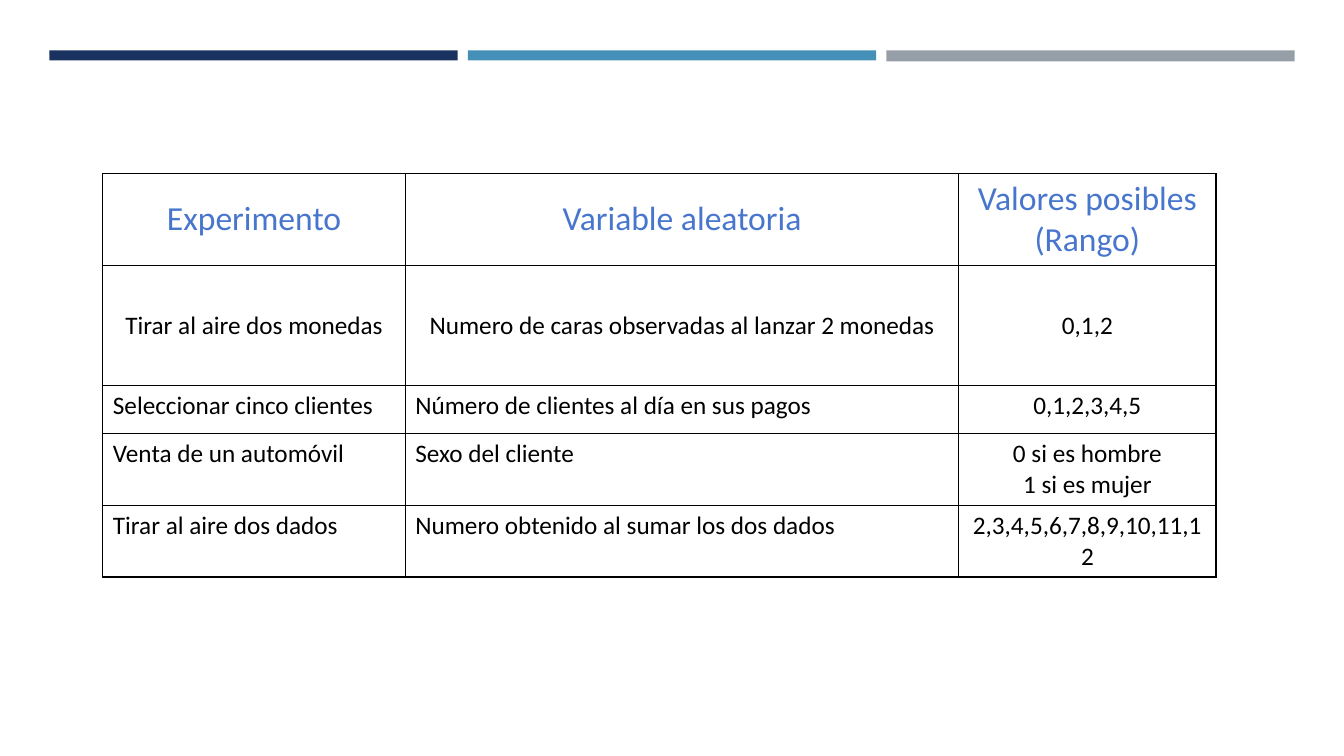
import pptx
import pptx.dml.color
import pptx.enum.shapes
import pptx.enum.text
import pptx.oxml
import pptx.oxml.ns
import pptx.util

Inches, Pt = pptx.util.Inches, pptx.util.Pt
RGBColor = pptx.dml.color.RGBColor
PP_ALIGN = pptx.enum.text.PP_ALIGN
MSO_ANCHOR = pptx.enum.text.MSO_ANCHOR

# Content
HEADER = ("Experimento", "Variable aleatoria", "Valores posibles (Rango)")
ROWS = [
    ("Tirar al aire dos monedas", "Numero de caras observadas al lanzar 2 monedas", "0,1,2"),
    ("Seleccionar cinco clientes", "Número de clientes al día en sus pagos", "0,1,2,3,4,5"),
    ("Venta de un automóvil", "Sexo del cliente", "0 si es hombre\n1 si es mujer"),
    ("Tirar al aire dos dados", "Numero obtenido al sumar los dos dados", "2,3,4,5,6,7,8,9,10,11,12"),
]

# Colours and formats
NAVY = RGBColor(0x1A, 0x32, 0x60)
BLUE = RGBColor(0x45, 0x90, 0xB8)
GRAY = RGBColor(0x96, 0x9F, 0xA7)
HEADING = RGBColor(0x48, 0x76, 0xCD)
BLACK = RGBColor(0, 0, 0)
HEADER_FONT = {"name": "Calibri", "size": Pt(24), "bold": False}
BODY_FONT = {"name": "Calibri", "size": Pt(18), "bold": False}

# Layout
BAR_LEFT, BAR_TOP, BAR_WIDTH, BAR_STEP = 0.49, 0.5, 4.05, 4.15
BARS = [(NAVY, 0.1), (BLUE, 0.1), (GRAY, 0.11)]
TABLE_LEFT, TABLE_TOP = 1.02, 1.72
COL_WIDTHS = (3, 5.49, 2.55)
ROW_HEIGHTS = (0.83, 1.19, 0.48, 0.48, 0.48)
CENTERED_ROWS = 2  # the header and the first experiment


def add_borders(cell):
    tcPr = cell._tc.get_or_add_tcPr()
    for i, side in enumerate(("lnL", "lnR", "lnT", "lnB")):
        tcPr.insert(i, pptx.oxml.parse_xml(
            f'<a:{side} {pptx.oxml.ns.nsdecls("a")} w="{Pt(1)}"><a:solidFill>'
            f'<a:srgbClr val="{BLACK}"/></a:solidFill></a:{side}>'))


def fill_cell(cell, text, row, col):
    centered = row < CENTERED_ROWS
    cell.text = text
    cell.fill.background()
    cell.vertical_anchor = MSO_ANCHOR.MIDDLE if centered else MSO_ANCHOR.TOP
    for p in cell.text_frame.paragraphs:
        p.alignment = PP_ALIGN.CENTER if centered or col == 2 else PP_ALIGN.LEFT
        for r in p.runs:
            for name, value in (BODY_FONT if row else HEADER_FONT).items():
                setattr(r.font, name, value)
            r.font.color.rgb = BLACK if row else HEADING
    add_borders(cell)


def main():
    prs = pptx.Presentation()
    prs.slide_width, prs.slide_height = Inches(13.33), Inches(7.5)
    s = prs.slides.add_slide(prs.slide_layouts[6])

    # Bars across the top
    for i, (color, height) in enumerate(BARS):
        sp = s.shapes.add_shape(
            pptx.enum.shapes.MSO_SHAPE.RECTANGLE, Inches(BAR_LEFT + i * BAR_STEP),
            Inches(BAR_TOP), Inches(BAR_WIDTH), Inches(height))
        sp.shadow.inherit = False
        sp.fill.solid()
        sp.fill.fore_color.rgb = color
        sp.line.fill.background()

    # Table of experiments
    table = s.shapes.add_table(
        len(ROW_HEIGHTS), len(COL_WIDTHS), Inches(TABLE_LEFT), Inches(TABLE_TOP),
        Inches(sum(COL_WIDTHS)), Inches(sum(ROW_HEIGHTS))).table
    table.horz_banding = False
    for column, width in zip(table.columns, COL_WIDTHS):
        column.width = Inches(width)
    for row, height in zip(table.rows, ROW_HEIGHTS):
        row.height = Inches(height)
    for i, texts in enumerate([HEADER] + ROWS):
        for j, text in enumerate(texts):
            fill_cell(table.cell(i, j), text, i, j)

    prs.save("out.pptx")


if __name__ == "__main__":
    main()
